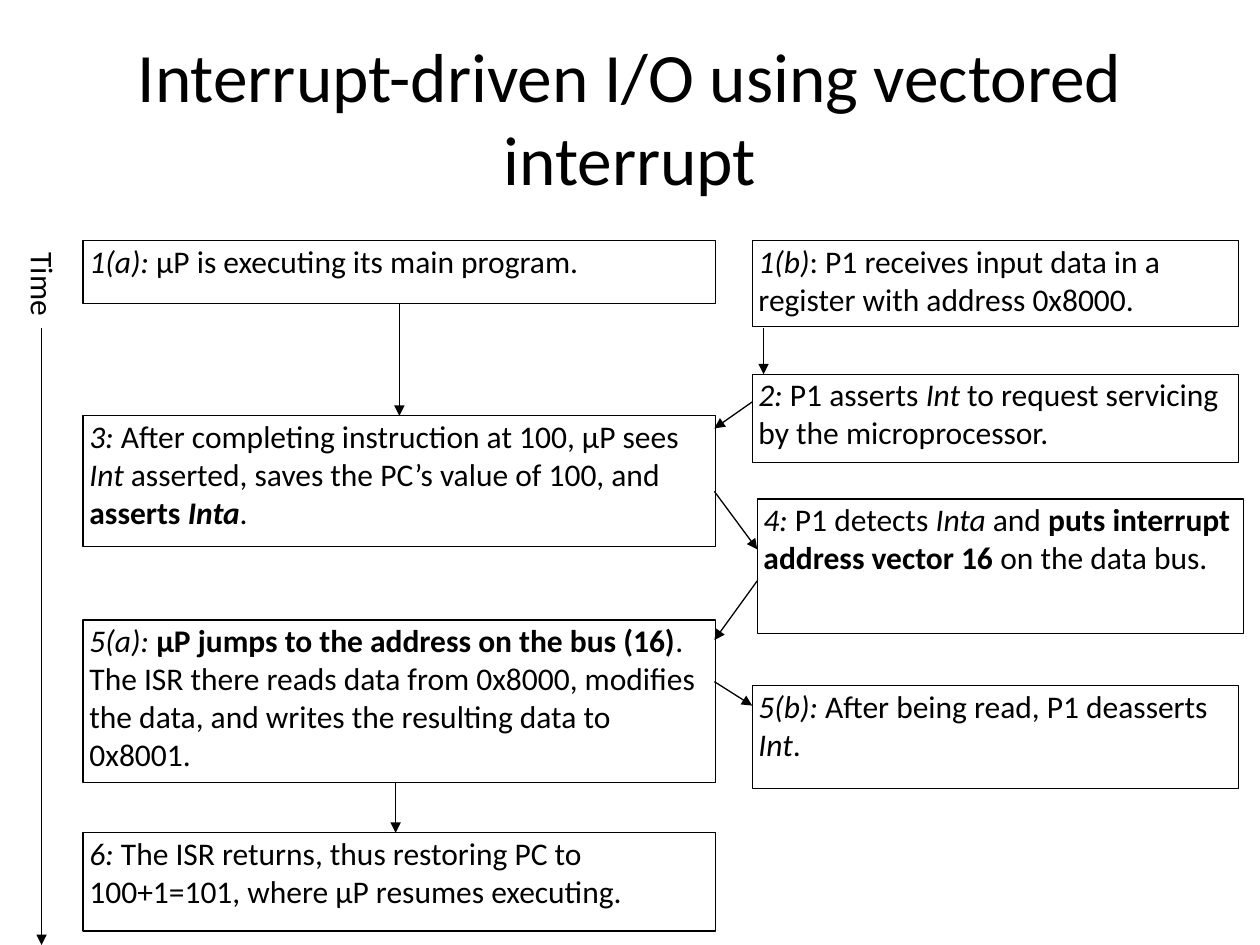
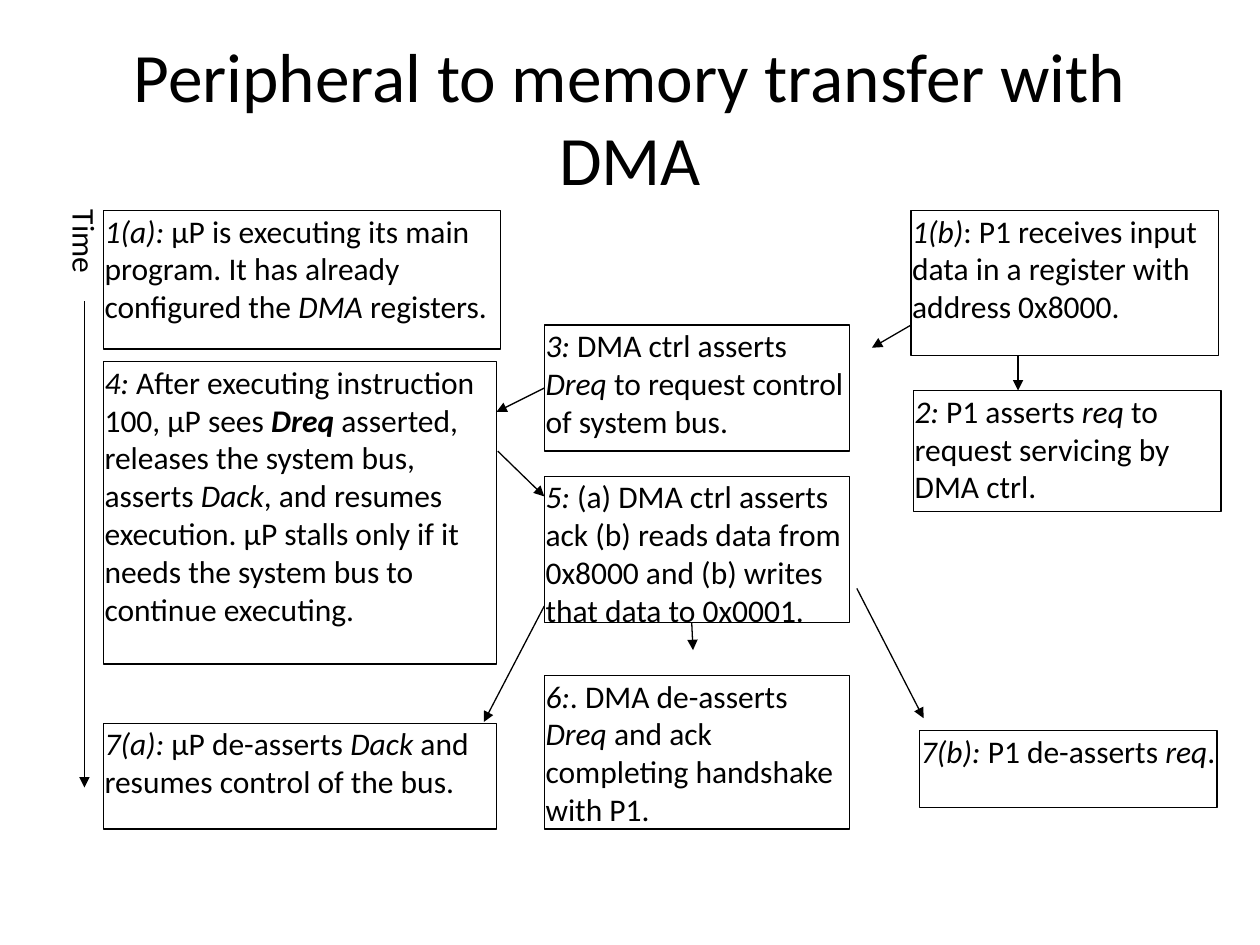
from dataclasses import dataclass

from lxml import etree
from pptx import Presentation
from pptx.dml.color import RGBColor
from pptx.enum import shapes, text
from pptx.oxml import ns
from pptx.util import Pt

PX = 9144  # EMU per px, 100 px to the inch
TOP, LEFT, BOTTOM, RIGHT = range(4)  # connection sites of a rectangle


@dataclass(frozen=True)
class Theme:
    font: str = "Calibri"
    ink: RGBColor = RGBColor(0, 0, 0)
    paper: RGBColor = RGBColor(255, 255, 255)
    title_size: float = 39.6
    body_size: float = 18
    line_width: float = 0.75


THEME = Theme()
TITLE_FRAME = (50, 30, 900, 125)

# Content. In step text, _ switches italic and * switches bold.
# columns: left, width; steps: label, column, top, height, text
# arrows: each end is a point, or a step label with a connection site
SLIDES = [
    {
        "title": "Interrupt-driven I/O using vectored interrupt",
        "inset": 5,
        "time_frame": (-2, 210, 61, 42),
        "columns": {"cpu": (66, 502), "device": (597, 386), "device reply": (601, 386)},
        "steps": [
            ("1a", "cpu", 191, 50, "_1(a):_ μP is executing its main program."),
            ("1b", "device", 191, 68,
             "_1(b)_: P1 receives input data in a register with address 0x8000."),
            ("2", "device", 297, 70,
             "_2:_ P1 asserts _Int_ to request servicing by the microprocessor."),
            ("3", "cpu", 330, 104,
             "_3:_ After completing instruction at 100, μP sees _Int_ asserted, "
             "saves the PC’s value of 100, and *asserts _Inta_*."),
            ("4", "device reply", 396, 107,
             "_4:_ P1 detects _Inta_ and *puts interrupt address vector 16* "
             "on the data bus."),
            ("5a", "cpu", 492, 129,
             "_5(a): _*μP jumps to the address on the bus (16)*. The ISR there reads "
             "data from 0x8000, modifies the data, and writes the resulting data "
             "to 0x8001."),
            ("5b", "device", 544, 82,
             "_5(b):_ After being read, P1 deasserts _Int_."),
            ("6", "cpu", 661, 78,
             "_6:_ The ISR returns, thus restoring PC to 100+1=101, "
             "where μP resumes executing."),
        ],
        "arrows": [
            ((33, 260), (33, 750)),
            (("1a", BOTTOM), ("3", TOP)),
            ((606, 260), (606, 297)),
            ((597, 319), (567, 340)),
            ((567, 390), (601, 436)),
            ((601, 461), (567, 508)),
            ((567, 541), (597, 560)),
            ((314, 621), (314, 661)),
        ],
    },
    {
        "title": "Peripheral to memory transfer with DMA",
        "inset": 1,
        "time_frame": (38, 187, 65, 24),
        "columns": {"cpu start": (82, 315), "cpu": (82, 312), "dma": (432, 242),
                    "device start": (723, 244), "device": (725, 244),
                    "device end": (730, 236)},
        "steps": [
            ("1a", "cpu start", 167, 110,
             "_1(a): _μP is executing its main program. It has already configured "
             "the _DMA _registers."),
            ("1b", "device start", 167, 115,
             "_1(b)_: P1 receives input data in a register with address 0x8000."),
            ("2", "device", 310, 96,
             "_2:_ P1 asserts _req_ to request servicing by DMA ctrl."),
            ("3", "dma", 258, 100,
             "_3:_ DMA ctrl asserts _Dreq_ to request control of system bus."),
            ("4", "cpu", 287, 240,
             "_4:_ After executing instruction 100, μP sees *_Dreq _*asserted, "
             "releases the system bus, asserts _Dack_, and resumes execution. "
             "μP stalls only if it needs the system bus to continue executing."),
            ("5", "dma", 378, 116,
             "_5:_ (a) DMA ctrl asserts ack (b) reads data from 0x8000 and "
             "(b) writes that data to 0x0001."),
            ("6", "dma", 536, 122,
             "_6:_. DMA de-asserts _Dreq_ and ack completing handshake with P1."),
            ("7a", "cpu", 574, 84,
             "_7(a): _μP de-asserts _Dack_ and resumes control of the bus."),
            ("7b", "device end", 580, 61, "_7(b):_ P1 de-asserts _req_."),
        ],
        "arrows": [
            ((67, 239), (67, 625)),
            ((808, 282), (808, 310)),
            ((723, 258), (692, 276)),
            (("3", LEFT), (394, 327)),
            ((395, 358), (432, 394)),
            ((549, 494), (550, 516)),
            ((432, 481), (384, 573)),
            ((680, 467), (733, 570)),
        ],
    },
]


def emu(*lengths):
    return [length * PX for length in lengths]


def styled_spans(marked):
    """Yield (text, italic, bold) for each stretch between switches."""
    for bold_index, stretch in enumerate(marked.split("*")):
        italic = styled_spans.italic if bold_index else False
        for index, part in enumerate(stretch.split("_")):
            if index:
                italic = not italic
            if part:
                yield part, italic, bool(bold_index % 2)
        styled_spans.italic = italic


def write(shape, marked, *, size=THEME.body_size, inset=(0, 0),
          align=text.PP_ALIGN.LEFT, anchor=text.MSO_ANCHOR.TOP):
    frame = shape.text_frame
    frame.word_wrap = True
    frame.auto_size = text.MSO_AUTO_SIZE.NONE
    frame.vertical_anchor = anchor
    frame.margin_left = frame.margin_right = inset[0] * PX
    frame.margin_top = frame.margin_bottom = inset[1] * PX
    para = frame.paragraphs[0]
    para.alignment = align
    for part, italic, bold in styled_spans(marked):
        span = para.add_run()
        span.text = part
        span.font.name, span.font.size = THEME.font, Pt(size)
        span.font.italic, span.font.bold = italic, bold
        span.font.color.rgb = THEME.ink


def draw_line(line):
    line.color.rgb = THEME.ink
    line.width = Pt(THEME.line_width)


def add_title(page, title):
    box = page.shapes.title
    box.left, box.top, box.width, box.height = emu(*TITLE_FRAME)
    write(box, title, size=THEME.title_size, inset=(10, 5),
          align=text.PP_ALIGN.CENTER, anchor=text.MSO_ANCHOR.MIDDLE)


def add_step(page, frame, marked, inset):
    box = page.shapes.add_shape(shapes.MSO_SHAPE.RECTANGLE, *emu(*frame))
    box.shadow.inherit = False
    box.fill.background()
    draw_line(box.line)
    write(box, marked, inset=(inset, 1))
    return box


def add_arrow(page, start, end, boxes):
    # An end on a step starts at the origin and is moved by joining it.
    points = [(0, 0) if point[0] in boxes else point for point in (start, end)]
    arrow = page.shapes.add_connector(
        shapes.MSO_CONNECTOR.STRAIGHT, *emu(*points[0], *points[1]))
    for point, join in ((start, arrow.begin_connect), (end, arrow.end_connect)):
        if point[0] in boxes:
            join(boxes[point[0]], point[1])
    draw_line(arrow.line)
    etree.SubElement(arrow.line._get_or_add_ln(), ns.qn("a:tailEnd"), type="triangle")
    etree.SubElement(arrow._element.spPr, ns.qn("a:effectLst"))


def add_page(deck, content):
    page = deck.slides.add_slide(deck.slide_layouts[5])
    page.background.fill.solid()
    page.background.fill.fore_color.rgb = THEME.paper
    add_title(page, content["title"])

    # Steps
    boxes = {}
    for label, column, top, height, marked in content["steps"]:
        left, width = content["columns"][column]
        boxes[label] = add_step(page, (left, top, width, height), marked,
                                content["inset"])

    # Time axis label and arrows
    time_label = page.shapes.add_textbox(*emu(*content["time_frame"]))
    time_label.rotation = 90
    write(time_label, "Time")
    for start, end in content["arrows"]:
        add_arrow(page, start, end, boxes)


def main():
    deck = Presentation()
    deck.slide_width, deck.slide_height = emu(1000, 750)
    for content in SLIDES:
        add_page(deck, content)
    deck.save("out.pptx")


if __name__ == "__main__":
    main()
